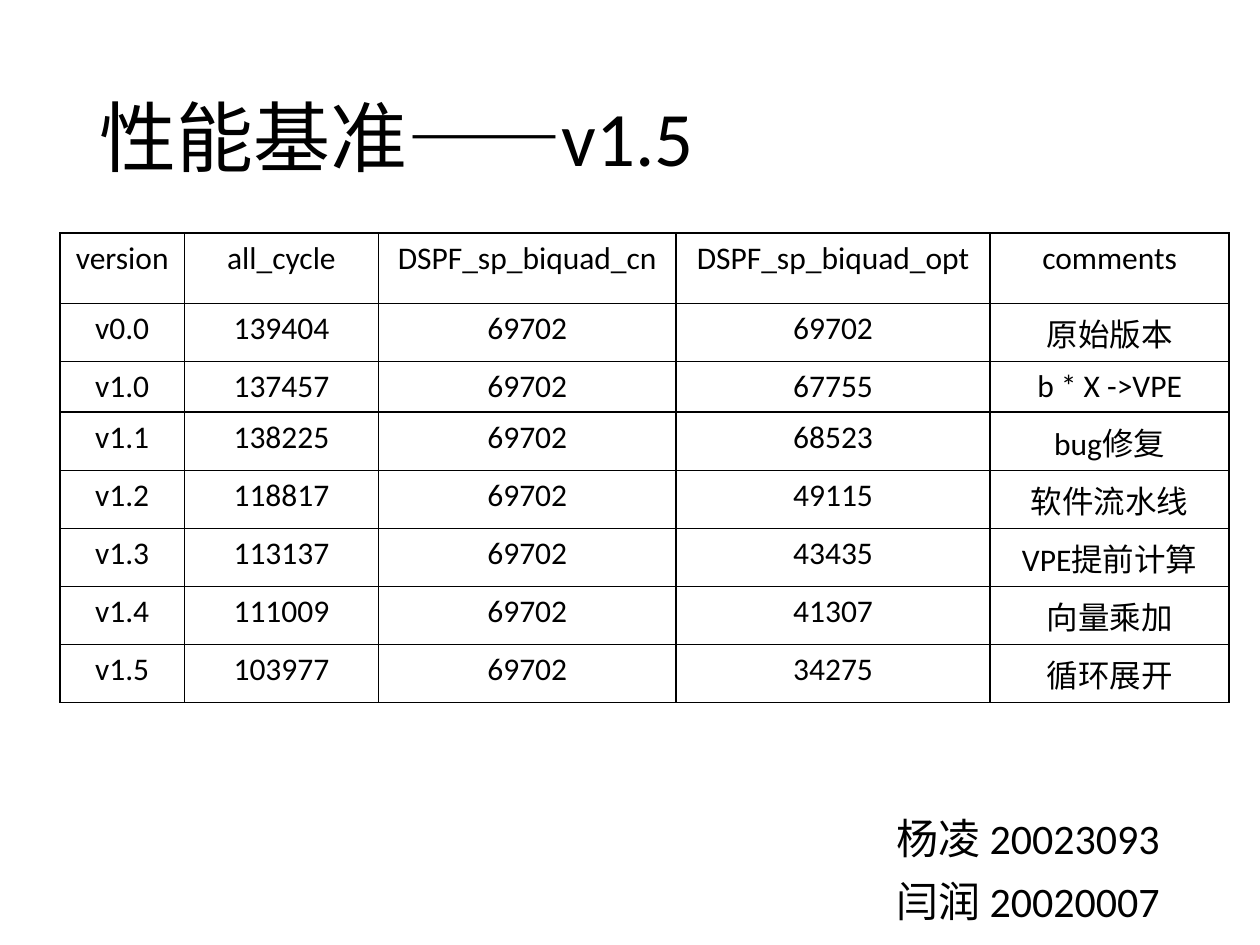
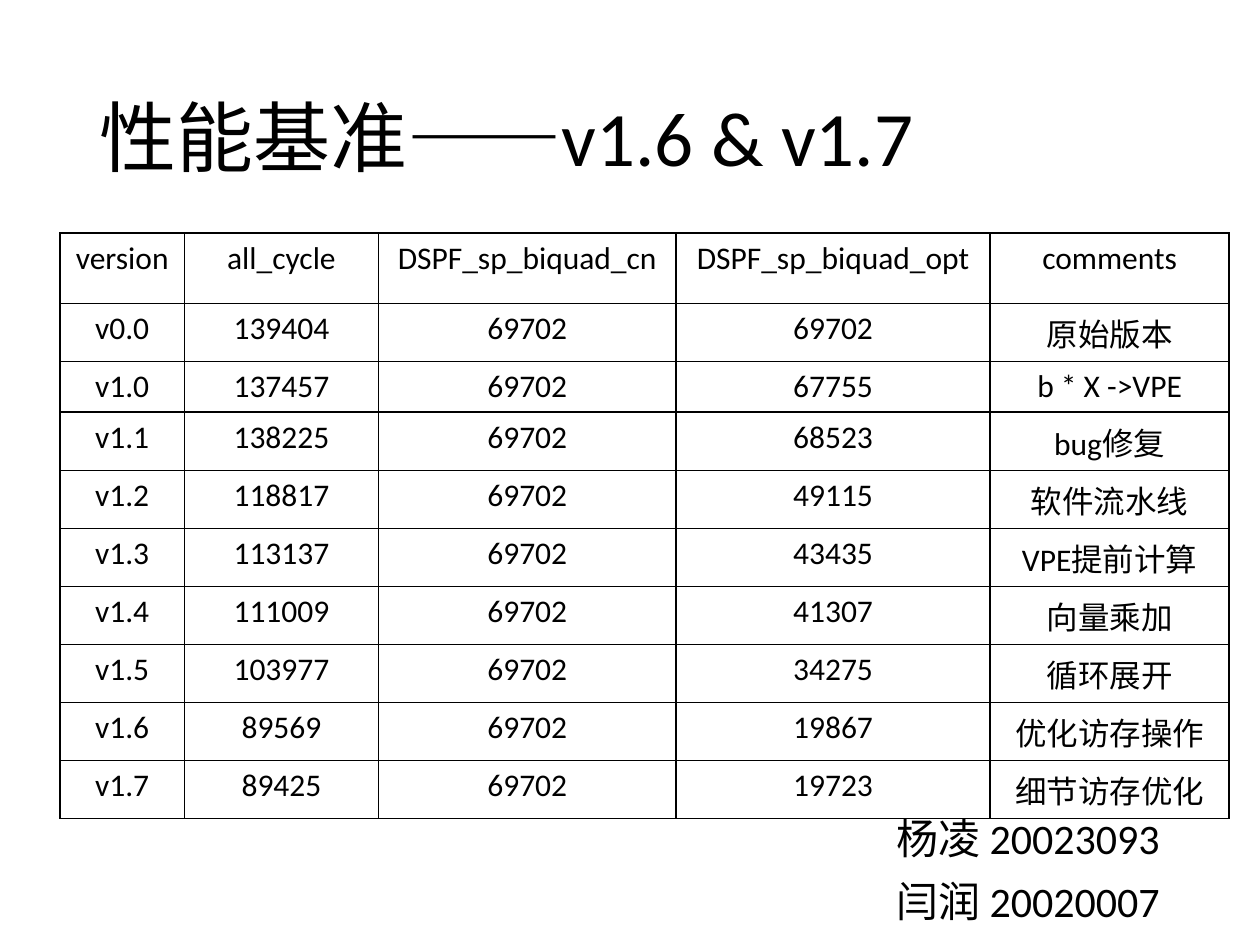
from dataclasses import dataclass
from lxml import etree
from pptx import Presentation
from pptx import util as u
from pptx.dml import color
from pptx.enum import text
from pptx.oxml import ns


@dataclass(frozen=True)
class Theme:
    ink: str = "000000"
    paper: str = "FFFFFF"
    font: str = "Calibri"
    title: int = 44
    names: int = 24
    cell: int = 18
    rule: float = 1


THEME = Theme()
TITLE = (1.75, 1.02, 21.9, 3.68)
TABLE = (1.21, 4.7)
NAMES = (16.05, 16.37, 9.35, 2.69)
COLS = (2.51, 3.91, 6, 6.33, 4.82)
HEAD_H, LATIN_H, HAN_H = 1.42, 1.02, 1.17
TEAM = ("杨凌 20023093", "闫润 20020007")
HEAD = ("version", "all_cycle", "DSPF_sp_biquad_cn", "DSPF_sp_biquad_opt", "comments")
BASE = 69702
RUNS = (
    ("v0.0", 139404, "原始版本"),
    ("v1.0", 137457, "b\u00a0*\u00a0X ->VPE"),
    ("v1.1", 138225, "bug修复"),
    ("v1.2", 118817, "软件流水线"),
    ("v1.3", 113137, "VPE提前计算"),
    ("v1.4", 111009, "向量乘加"),
    ("v1.5", 103977, "循环展开"),
    ("v1.6", 89569, "优化访存操作"),
    ("v1.7", 89425, "细节访存优化"),
)


def style(par, size, align=None):
    par.alignment = align
    for run in par.runs:
        run.font.name = THEME.font
        run.font.size = u.Pt(size)
        run.font.color.rgb = color.RGBColor.from_string(THEME.ink)


def add_text(slide, box, lines, size, align=None, before=0, anchor=text.MSO_ANCHOR.TOP):
    frame = slide.shapes.add_textbox(*map(u.Cm, box)).text_frame
    frame.word_wrap = True
    frame.vertical_anchor = anchor
    frame.text = "\n".join(lines)
    for par in frame.paragraphs:
        par.line_spacing = 0.9
        par.space_before = u.Pt(before)
        style(par, size, align)


def add_border(cell):
    props = cell._tc.get_or_add_tcPr()
    for side in ("a:lnL", "a:lnR", "a:lnT", "a:lnB"):
        line = etree.SubElement(props, ns.qn(side), w=str(u.Pt(THEME.rule)))
        fill = etree.SubElement(line, ns.qn("a:solidFill"))
        etree.SubElement(fill, ns.qn("a:srgbClr"), val=THEME.ink)


def fill_cell(cell, value):
    add_border(cell)
    cell.fill.solid()
    cell.fill.fore_color.rgb = color.RGBColor.from_string(THEME.paper)
    cell.text_frame.text = str(value)
    style(cell.text_frame.paragraphs[0], THEME.cell, text.PP_ALIGN.CENTER)


def row_height(note):
    return HAN_H if any(char > "\u2e80" for char in note) else LATIN_H


def add_grid(slide, left, top, runs):
    rows = [HEAD] + [(ver, total, BASE, total - BASE, note) for ver, total, note in runs]
    heights = [HEAD_H] + [row_height(note) for *_, note in runs]
    table = slide.shapes.add_table(
        len(rows), len(COLS), *map(u.Cm, (left, top, sum(COLS), sum(heights)))).table
    for col, width in zip(table.columns, COLS):
        col.width = u.Cm(width)
    for i, (row, height) in enumerate(zip(rows, heights)):
        table.rows[i].height = u.Cm(height)
        for j, value in enumerate(row):
            fill_cell(table.cell(i, j), value)


def add_slide(deck, label, runs):
    slide = deck.slides.add_slide(deck.slide_layouts[6])
    add_text(slide, NAMES, TEAM, THEME.names, text.PP_ALIGN.CENTER, before=10)
    add_text(slide, TITLE, [f"性能基准——{label}"], THEME.title,
             anchor=text.MSO_ANCHOR.MIDDLE)
    add_grid(slide, *TABLE, runs)


deck = Presentation()
deck.slide_width, deck.slide_height = u.Cm(25.4), u.Cm(19.05)
add_slide(deck, "v1.5", RUNS[:7])
add_slide(deck, "v1.6 & v1.7", RUNS)
deck.save("out.pptx")
